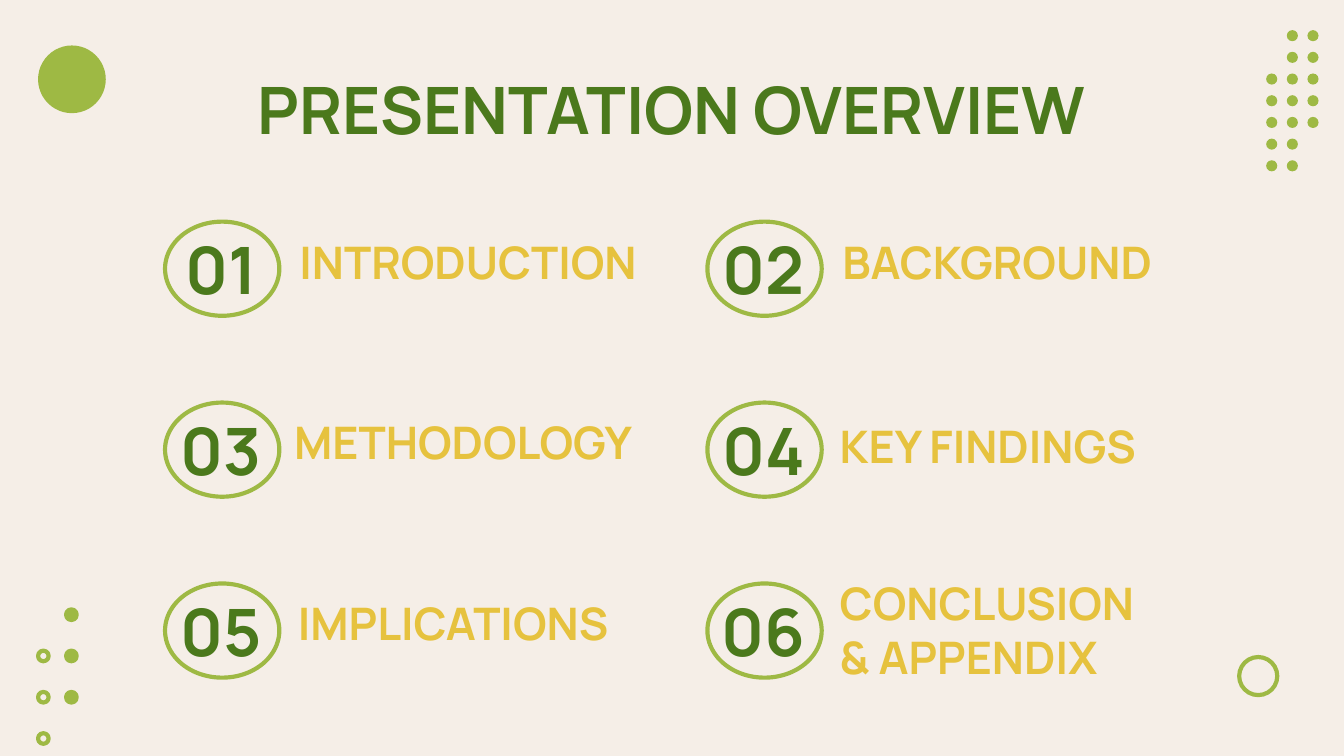
from pptx import Presentation
from pptx.dml.color import RGBColor
from pptx.enum.shapes import MSO_SHAPE as Preset
from pptx.enum.text import MSO_ANCHOR as Anchor, MSO_AUTO_SIZE as AutoSize, PP_ALIGN as Align
from pptx.util import Cm, Pt


def color(hex_string):
    return RGBColor.from_string(hex_string)


class OverviewSlide:
    FONT = "Manrope"
    CREAM = "F5EEE7"
    LIME = "9EB944"
    GREEN = "4B791C"
    GOLD = "E6C23E"

    def __init__(self, presentation):
        self.slide = presentation.slides.add_slide(presentation.slide_layouts[5])
        background = self.slide.background.fill
        background.solid()
        background.fore_color.rgb = color(self.CREAM)

    def ellipse(self, left, top, width, height, filled=False, outlined=True):
        shape = self.slide.shapes.add_shape(
            Preset.OVAL, Cm(left), Cm(top), Cm(width), Cm(height))
        shape.shadow.inherit = False
        if filled:
            shape.fill.solid()
            shape.fill.fore_color.rgb = color(self.LIME)
        else:
            shape.fill.background()
        if outlined:
            shape.line.color.rgb = color(self.LIME)
            shape.line.width = Pt(2.25)
        else:
            shape.line.fill.background()

    def set_text(self, shape, lines, size, hex_string, align):
        frame = shape.text_frame
        frame.word_wrap = True
        frame.auto_size = AutoSize.NONE
        frame.vertical_anchor = Anchor.MIDDLE
        frame.margin_left = frame.margin_right = Cm(0.25)
        frame.margin_top = frame.margin_bottom = Cm(0.25)
        frame.text = lines
        for paragraph in frame.paragraphs:
            paragraph.alignment = align
            paragraph.font.name = self.FONT
            paragraph.font.size = Pt(size)
            paragraph.font.bold = True
            paragraph.font.color.rgb = color(hex_string)

    def title(self, text, left, top, width, height):
        shape = self.slide.shapes.title
        shape.left, shape.top = Cm(left), Cm(top)
        shape.width, shape.height = Cm(width), Cm(height)
        self.set_text(shape, text, 35, self.GREEN, Align.CENTER)

    def text(self, lines, left, top, width, height, size, hex_string, align=Align.LEFT):
        shape = self.slide.shapes.add_textbox(Cm(left), Cm(top), Cm(width), Cm(height))
        self.set_text(shape, lines, size, hex_string, align)

    def section(self, number, label, left, top, label_left, label_top, label_width):
        self.ellipse(left, top, 2.16, 1.78)
        self.text(f"{number:02}", left - 0.12, top + 0.2, 2.36, 1.37,
                  35, self.GREEN, Align.CENTER)
        self.text(label, label_left, label_top, label_width, 1.5, 24, self.GOLD)


# Label, left, top and width of each section text, row by row
SECTIONS = [
    ("INTRODUCTION", 5.41, 4.19, 7.09),
    ("BACKGROUND", 15.67, 4.19, 7.39),
    ("METHODOLOGY", 5.31, 7.59, 7.16),
    ("KEY FINDINGS", 15.62, 7.67, 7.52),
    ("IMPLICATIONS", 5.38, 11.02, 6.86),
    ("CONCLUSION\n& APPENDIX", 15.62, 11.15, 6.3),
]

# Columns that hold a dot, for each row of the top right pattern
DOT_ROWS = [(1, 2)] * 2 + [(0, 1, 2)] * 3 + [(0, 1)] * 2


def main():
    presentation = Presentation()
    presentation.slide_width, presentation.slide_height = Cm(25.4), Cm(14.29)
    overview = OverviewSlide(presentation)

    # Corner decorations
    for row, columns in enumerate(DOT_ROWS):
        for column in columns:
            overview.ellipse(23.93 + 0.39 * column, 0.57 + 0.41 * row, 0.21, 0.21,
                             filled=True, outlined=False)
    overview.ellipse(0.72, 0.86, 1.28, 1.28, filled=True, outlined=False)
    overview.ellipse(23.42, 12.42, 0.72, 0.72)
    for step in range(3):
        overview.ellipse(1.25, 11.52 + 0.78 * step, 0.2, 0.2, filled=True)
        overview.ellipse(0.72, 12.3 + 0.78 * step, 0.2, 0.2)

    # Title
    overview.title("PRESENTATION OVERVIEW", 2.0, 1.25, 21.4, 1.6)

    # Numbered sections in two columns
    for index, (label, *place) in enumerate(SECTIONS):
        row, column = divmod(index, 2)
        overview.section(index + 1, label, 3.12 + 10.25 * column, 4.19 + 3.42 * row, *place)

    presentation.save("out.pptx")


if __name__ == "__main__":
    main()
